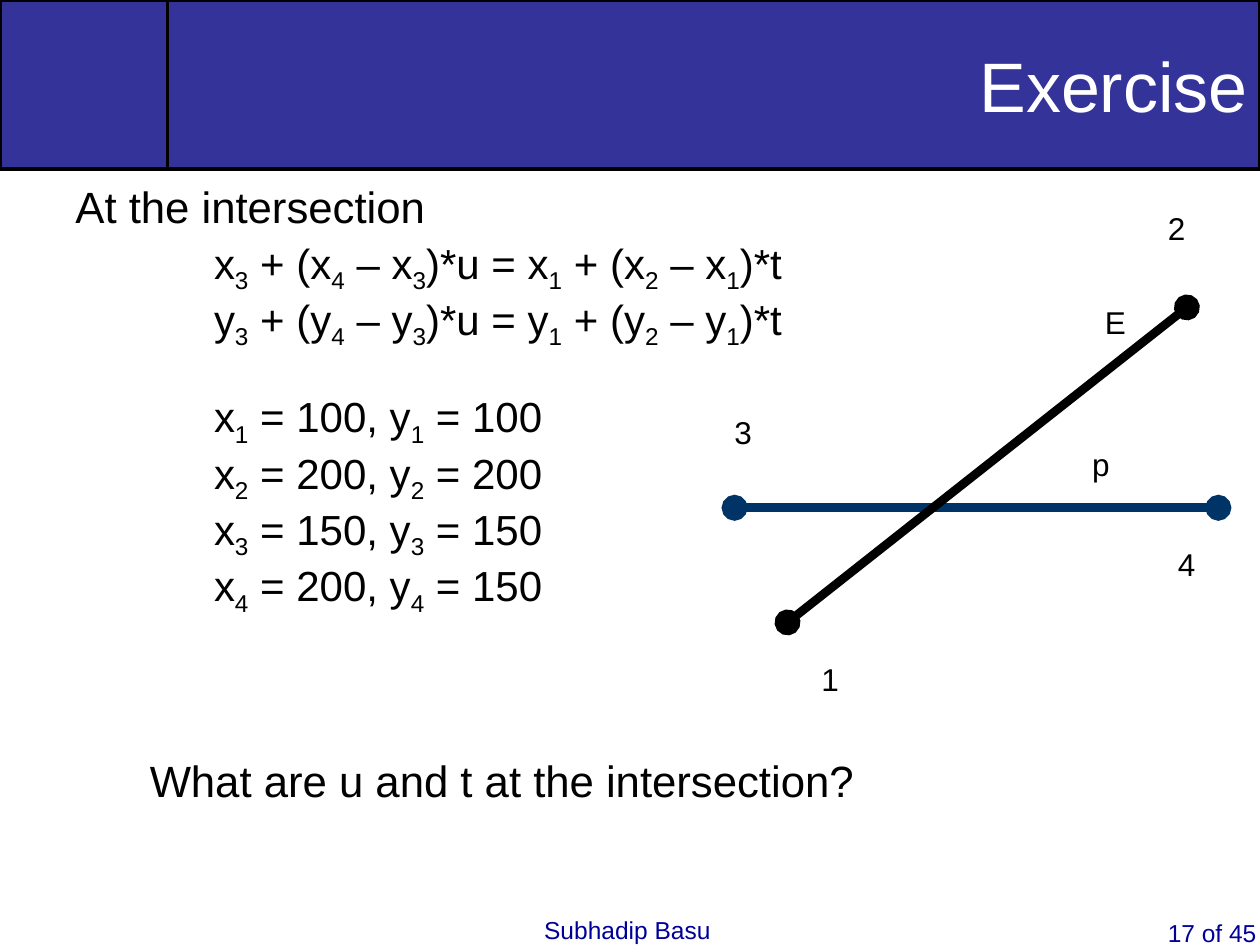
from typing import NamedTuple

from lxml import etree
from pptx import Presentation
from pptx import util as u
from pptx.dml.color import RGBColor
from pptx.enum import shapes, text
from pptx.oxml import ns

COLORS = {
    "banner": "333399",
    "footer": "000099",
    "ink": "000000",
    "navy": "003366",
    "white": "FFFFFF",
}
BANNER_SPLIT = 1.33


class Label(NamedTuple):
    words: str
    left: float
    top: float
    width: float = 0.36
    height: float = 0.4
    size: int = 18
    color: str = "ink"
    right_margin: float = 0.1


class Segment(NamedTuple):
    start: tuple[float, float]
    end: tuple[float, float]
    color: str


class Line(NamedTuple):
    words: str
    size: int
    indent: float
    before: float
    height: float


def equation(words: str, before: float = 8.8) -> Line:
    return Line(words, 24, 1.1, before, 23.4)


LABELS = [
    Label("17 of 45", 9.17, 7.24, 0.83, 0.26, 14, "footer", right_margin=0),
    Label("Subhadip Basu", 4.22, 7.21, 1.52, 0.29, 14, "footer"),
    Label("p", 8.57, 3.48),
    Label("E", 8.67, 2.36),
    Label("1", 6.42, 5.19),
    Label("2", 9.17, 1.61),
    Label("3", 5.73, 3.23),
    Label("4", 9.25, 4.28),
]
SEGMENTS = [
    Segment((5.83, 4.03), (9.67, 4.03), "navy"),
    Segment((6.25, 4.94), (9.42, 2.44), "ink"),
]
BODY = [
    Line("At the intersection", 25, 0, 0, 24.2),
    equation("x_3 + (x_4 – x_3)*u = x_1 + (x_2 – x_1)*t", before=12),
    equation("y_3 + (y_4 – y_3)*u = y_1 + (y_2 – y_1)*t"),
    equation("x_1 = 100, y_1 = 100", before=32.2),
    equation("x_2 = 200, y_2 = 200"),
    equation("x_3 = 150, y_3 = 150"),
    equation("x_4 = 200, y_4 = 150"),
    Line("What are u and t at the intersection?", 25, 0.59, 84, 24.2),
]


def rgb(name: str) -> RGBColor:
    return RGBColor.from_string(COLORS[name])


def style(para, size: int, color: str) -> None:
    para.font.name = "Arial"
    para.font.size = u.Pt(size)
    para.font.color.rgb = rgb(color)


def add_banner(page, left: float, width: float, height: float):
    banner = page.shapes.add_shape(
        shapes.MSO_SHAPE.RECTANGLE,
        u.Inches(left), u.Inches(0), u.Inches(width), u.Inches(height))
    banner.shadow.inherit = False
    banner.fill.solid()
    banner.fill.fore_color.rgb = rgb("banner")
    banner.line.color.rgb = rgb("ink")
    banner.line.width = u.Pt(2)
    return banner


def add_title(page, words: str) -> None:
    banner = add_banner(page, BANNER_SPLIT, 10 - BANNER_SPLIT, 1.34)
    banner.text_frame.vertical_anchor = text.MSO_ANCHOR.MIDDLE
    para = banner.text_frame.paragraphs[0]
    para.text = words
    para.alignment = text.PP_ALIGN.RIGHT
    style(para, 40, "white")


def add_label(page, label: Label) -> None:
    box = page.shapes.add_textbox(
        u.Inches(label.left), u.Inches(label.top),
        u.Inches(label.width), u.Inches(label.height))
    box.text_frame.word_wrap = False
    box.text_frame.margin_right = u.Inches(label.right_margin)
    para = box.text_frame.paragraphs[0]
    para.text = label.words
    style(para, label.size, label.color)


def add_spans(para, words: str) -> None:
    """Write words, lowering the digit that follows each underscore."""
    first, *rest = words.split("_")
    para.add_run().text = first
    for piece in rest:
        digit = para.add_run()
        digit.text = piece[0]
        digit.font._element.set("baseline", "-25000")
        if piece[1:]:
            para.add_run().text = piece[1:]


def add_body(page, lines: list[Line]) -> None:
    box = page.shapes.add_textbox(
        u.Inches(0.5), u.Inches(1.46), u.Inches(6.82), u.Inches(6.04))
    frame = box.text_frame
    frame.word_wrap = True
    for index, line in enumerate(lines):
        para = frame.add_paragraph() if index else frame.paragraphs[0]
        add_spans(para, line.words)
        para.line_spacing = u.Pt(line.height)
        para.space_before = u.Pt(line.before)
        para._p.get_or_add_pPr().set("marL", str(u.Inches(line.indent)))
        style(para, line.size, "ink")


def add_segment(page, segment: Segment) -> None:
    """Draw a thick line with a dot at both ends."""
    ends = [u.Inches(value) for value in segment.start + segment.end]
    line = page.shapes.add_connector(shapes.MSO_CONNECTOR.STRAIGHT, *ends)
    line.line.color.rgb = rgb(segment.color)
    line.line.width = u.Pt(5)
    outline = line.line._get_or_add_ln()
    for end in ("headEnd", "tailEnd"):
        etree.SubElement(outline, ns.qn(f"a:{end}"), type="oval")
    etree.SubElement(line._element.spPr, ns.qn("a:effectLst"))


def main() -> None:
    deck = Presentation()
    deck.slide_width, deck.slide_height = u.Inches(10), u.Inches(7.5)
    page = deck.slides.add_slide(deck.slide_layouts[6])
    add_banner(page, 0, BANNER_SPLIT, 1.34)
    add_title(page, "Exercise")
    add_body(page, BODY)
    for segment in SEGMENTS:
        add_segment(page, segment)
    for label in LABELS:
        add_label(page, label)
    deck.save("out.pptx")


if __name__ == "__main__":
    main()
